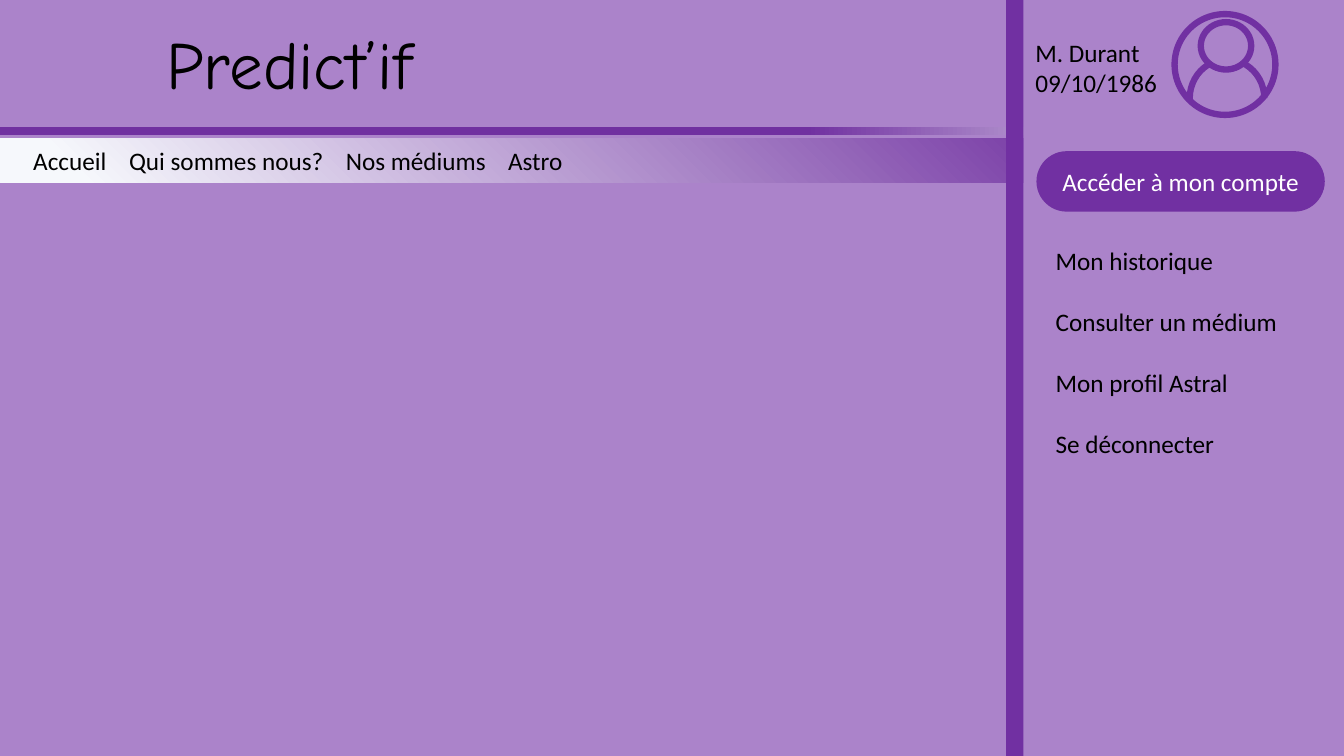
from lxml.etree import SubElement
from pptx import Presentation
from pptx.dml.color import RGBColor
from pptx.enum.shapes import MSO_SHAPE
from pptx.enum.text import MSO_ANCHOR, MSO_AUTO_SIZE, PP_ALIGN
from pptx.oxml.ns import qn
from pptx.util import Inches, Pt

COLORS = {"lilac": "AB83CA", "purple": "7130A2", "deep": "7030A0",
          "pale": "F6F8FC", "white": "FFFFFF", "black": "000000"}


def rgb(name):
    return RGBColor.from_string(COLORS[name])


def add_shape(s, kind, box, fill=None, line=None, adj=()):
    sp = s.shapes.add_shape(kind, *map(Inches, box))
    sp.shadow.inherit = False
    if fill:
        sp.fill.solid()
        sp.fill.fore_color.rgb = rgb(fill)
    else:
        sp.fill.background()
    if line:
        sp.line.color.rgb = rgb(line)
        sp.line.width = Pt(4.5)
    else:
        sp.line.fill.background()
    for i, value in enumerate(adj):
        sp.adjustments[i] = value
    return sp


def set_gradient(sp, start, end, angle):
    sp.fill.gradient()
    sp.fill.gradient_angle = angle
    for stop, position, name in zip(sp.fill.gradient_stops, (start, end), ("deep", "pale")):
        stop.position = position
        stop.color.rgb = rgb(name)


def write(sp, lines, size=18, color="black", font="Calibri",
          align=PP_ALIGN.LEFT, anchor=MSO_ANCHOR.TOP, gap=0):
    tf = sp.text_frame
    frame_format = {"word_wrap": True, "auto_size": MSO_AUTO_SIZE.NONE,
                    "vertical_anchor": anchor}
    for name, value in frame_format.items():
        setattr(tf, name, value)
    tf.text = "\n".join(lines)
    paragraph_format = {"alignment": align, "line_spacing": 1.0,
                        "space_before": Pt(0), "space_after": Pt(gap)}
    for p in tf.paragraphs:
        for name, value in paragraph_format.items():
            setattr(p, name, value)
        for r in p.runs:
            for name, value in {"name": font, "size": Pt(size)}.items():
                setattr(r.font, name, value)
            r.font.color.rgb = rgb(color)


def place(sp, box):
    for name, value in zip(("left", "top", "width", "height"), box):
        setattr(sp, name, Inches(value))
    # Bring the placeholder in front of the panels
    sp.element.getparent().append(sp.element)


def add_header(s, x, y, w):
    # Fading rule
    rule = add_shape(s, MSO_SHAPE.RECTANGLE, (x, y + 1.26, w, 0.08), "deep")
    set_gradient(rule, 0.6, 0.94, 0)
    # Navigation bar, with one tab stop per further entry
    nav = add_shape(s, MSO_SHAPE.RECTANGLE, (x, y + 1.37, w, 0.44), "deep")
    set_gradient(nav, 0.16, 0.94, 225)
    write(nav, ["Accueil\tQui sommes nous?\tNos médiums\tAstro"],
          anchor=MSO_ANCHOR.MIDDLE)
    nav.text_frame.margin_left = Inches(0.33)
    pPr = nav.text_frame.paragraphs[0]._p.get_or_add_pPr()
    tabs = SubElement(pPr, qn("a:tabLst"))
    for stop in (0.95, 3.1, 4.71):
        SubElement(tabs, qn("a:tab"), pos=str(Inches(stop)), algn="l")
    # Site name
    place(s.shapes.title, (x + 1.55, y + 0.17, 3.6, 0.91))
    write(s.shapes.title, ["Predict’if"], size=48, font="Comic Neue")


def add_avatar(s, x, y):
    add_shape(s, MSO_SHAPE.OVAL, (x, y, 1, 1), "lilac", "purple")
    add_shape(s, MSO_SHAPE.ARC, (x + 0.15, y + 0.45, 0.74, 0.77),
              line="purple", adj=(105.03, 0))
    add_shape(s, MSO_SHAPE.OVAL, (x + 0.26, y + 0.08, 0.5, 0.47), "lilac", "purple")


def add_sidebar(s, x, y, w, h):
    # Panel and divider
    add_shape(s, MSO_SHAPE.RECTANGLE, (x + 0.17, y, w - 0.17, 4.88), "lilac")
    add_shape(s, MSO_SHAPE.RECTANGLE, (x, y, 0.17, h), "purple")
    # User
    add_avatar(s, x + 1.67, y + 0.14)
    user = s.shapes.add_textbox(*map(Inches, (x + 0.19, y + 0.32, 1.61, 0.71)))
    write(user, ["M. Durant", "09/10/1986"])
    # Account button
    button = add_shape(s, MSO_SHAPE.ROUNDED_RECTANGLE, (x + 0.3, y + 1.5, 2.86, 0.6),
                       "purple", adj=(0.5,))
    write(button, ["Accéder à mon compte"], color="white",
          align=PP_ALIGN.CENTER, anchor=MSO_ANCHOR.MIDDLE)
    # Account menu
    menu = s.placeholders[1]
    place(menu, (x + 0.39, y + 2.38, 2.86, 2.83))
    write(menu, ["Mon historique", "Consulter un médium",
                 "Mon profil Astral", "Se déconnecter"], gap=22)
    for p in menu.text_frame.paragraphs:
        pPr = p._p.get_or_add_pPr()
        pPr.set("marL", "0")
        pPr.set("indent", "0")
        SubElement(pPr, qn("a:buNone"))


def main():
    prs = Presentation()
    prs.slide_width, prs.slide_height = Inches(13.33), Inches(7.5)
    s = prs.slides.add_slide(prs.slide_layouts[1])
    add_shape(s, MSO_SHAPE.RECTANGLE, (0, 0, 13.33, 7.5), "lilac")
    add_header(s, 0, 0, 13.33)
    add_sidebar(s, 9.98, 0, 3.35, 7.5)
    prs.save("out.pptx")


if __name__ == "__main__":
    main()
